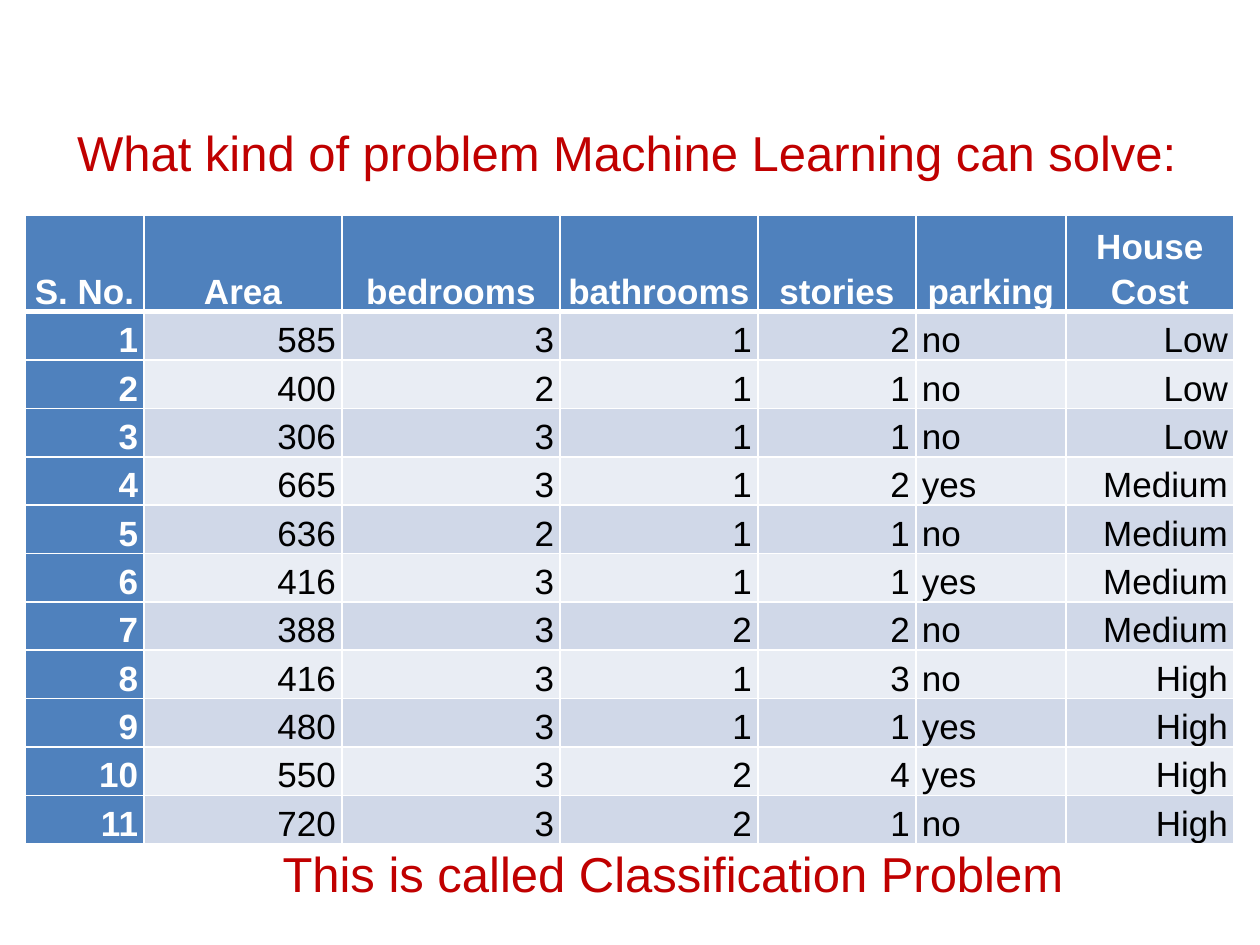
from lxml.etree import SubElement
from pptx import Presentation
from pptx.dml.color import RGBColor
from pptx.enum.text import MSO_ANCHOR as Anchor, PP_ALIGN as Align
from pptx.oxml.ns import qn
from pptx.util import Pt

EMU_PER_PX = 914400 / 126
COLORS = {
    "accent": "C00000",
    "header": "4F81BD",
    "band_odd": "D0D8E8",
    "band_even": "E9EDF4",
    "white": "FFFFFF",
    "black": "000000",
}
COLUMN_WIDTHS = [119, 198, 218, 198, 158, 150, 168]
HEADER_HEIGHT = 89
BODY_HEIGHT = 520
PARKING_COLUMN = 5
HEADINGS = ["S. No.", "Area", "bedrooms", "bathrooms", "stories", "parking", "House\nCost"]
HOUSES = [
    (585, 3, 1, 2, "no", "Low"),
    (400, 2, 1, 1, "no", "Low"),
    (306, 3, 1, 1, "no", "Low"),
    (665, 3, 1, 2, "yes", "Medium"),
    (636, 2, 1, 1, "no", "Medium"),
    (416, 3, 1, 1, "yes", "Medium"),
    (388, 3, 2, 2, "no", "Medium"),
    (416, 3, 1, 3, "no", "High"),
    (480, 3, 1, 1, "yes", "High"),
    (550, 3, 2, 4, "yes", "High"),
    (720, 3, 2, 1, "no", "High"),
]


def px(value):
    return round(value * EMU_PER_PX)


class SlideBuilder:
    """Holds the text style and the slide being filled."""

    def __init__(self, slide, font="Arial"):
        self.slide = slide
        self.font = font

    def styled_text(self, frame, text, size, color, align, bold=False, spacing=None):
        frame.text = text
        for paragraph in frame.paragraphs:
            paragraph.alignment = align
            if spacing:
                paragraph.line_spacing = spacing
            for run in paragraph.runs:
                run.font.name = self.font
                run.font.size = Pt(size)
                run.font.bold = bold
                run.font.color.rgb = RGBColor.from_string(COLORS[color])

    def heading(self, text, left, top, width, height, anchor=Anchor.TOP):
        box = self.slide.shapes.add_textbox(px(left), px(top), px(width), px(height))
        frame = box.text_frame
        frame.word_wrap = True
        frame.vertical_anchor = anchor
        self.styled_text(frame, text, 28, "accent", Align.CENTER)

    def borders(self, cell, top=1, bottom=1):
        """Draw white cell edges; call before the fill, which must follow them."""
        properties = cell._tc.get_or_add_tcPr()
        for side, points in (("L", 1), ("R", 1), ("T", top), ("B", bottom)):
            line = SubElement(properties, qn(f"a:ln{side}"), w=str(Pt(points)))
            fill = SubElement(line, qn("a:solidFill"))
            SubElement(fill, qn("a:srgbClr"), val=COLORS["white"])

    def cell(self, cell, text, row, column):
        is_header = row == 0
        is_label = is_header or column == 0
        band = "band_odd" if row % 2 else "band_even"
        if is_header:
            align = Align.CENTER
        else:
            align = Align.LEFT if column == PARKING_COLUMN else Align.RIGHT
        cell.margin_left = cell.margin_right = px(6)
        cell.margin_top = cell.margin_bottom = 0
        cell.vertical_anchor = Anchor.BOTTOM
        self.borders(cell, top=3 if row == 1 else 1, bottom=3 if is_header else 1)
        cell.fill.solid()
        cell.fill.fore_color.rgb = RGBColor.from_string(COLORS["header" if is_label else band])
        self.styled_text(cell.text_frame, text, 20, "white" if is_label else "black",
                         align, bold=is_label, spacing=1.15)

    def table(self, rows, left, top):
        frame = self.slide.shapes.add_table(
            len(rows), len(COLUMN_WIDTHS), px(left), px(top),
            px(sum(COLUMN_WIDTHS)), px(HEADER_HEIGHT + BODY_HEIGHT))
        table = frame.table
        table.first_col = True
        for column, width in zip(table.columns, COLUMN_WIDTHS):
            column.width = px(width)
        for r, values in enumerate(rows):
            table.rows[r].height = px(BODY_HEIGHT / (len(rows) - 1) if r else HEADER_HEIGHT)
            for c, value in enumerate(values):
                self.cell(table.cell(r, c), str(value), r, c)


def main():
    presentation = Presentation()
    presentation.slide_width = px(1260)
    presentation.slide_height = px(945)
    slide = presentation.slides.add_slide(presentation.slide_layouts[6])
    builder = SlideBuilder(slide)
    builder.heading("What kind of problem Machine Learning can solve:",
                    25, 73, 1203, 158, Anchor.MIDDLE)
    numbered_houses = [(number, *house) for number, house in enumerate(HOUSES, 1)]
    builder.table([HEADINGS, *numbered_houses], 25, 215)
    builder.heading("This is called Classification Problem ", 243, 837, 873, 72)
    presentation.save("out.pptx")


if __name__ == "__main__":
    main()
